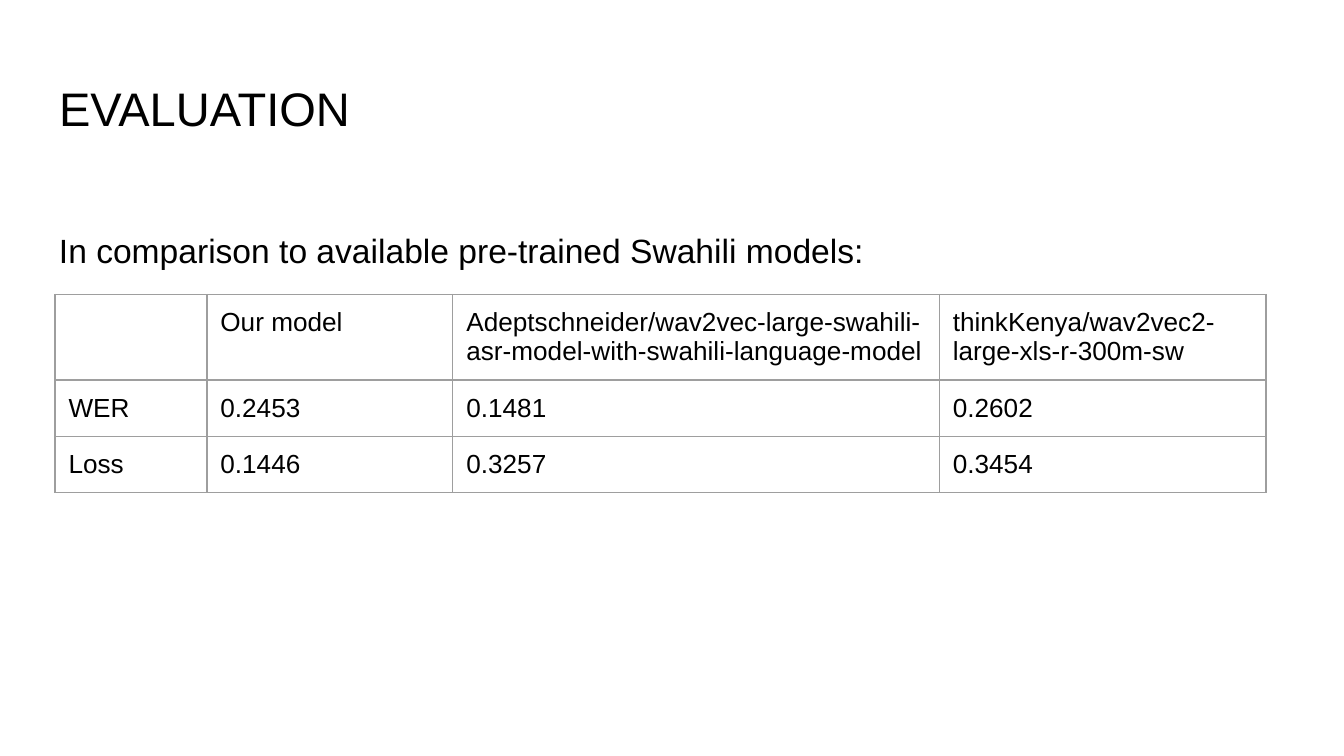
"""Build the evaluation slide with its model comparison table."""
from lxml.etree import SubElement
from pptx import Presentation
from pptx.dml.color import RGBColor
from pptx.enum.text import MSO_ANCHOR, PP_ALIGN
from pptx.oxml.ns import qn
from pptx.util import Inches, Pt

TITLE = "EVALUATION"
LEAD = "In comparison to available pre-trained Swahili models:"
ROWS = [
    ("", "Our model",
     "Adeptschneider/wav2vec-large-swahili-asr-model-with-swahili-language-model",
     "thinkKenya/wav2vec2-large-xls-r-300m-sw"),
    ("WER", "0.2453", "0.1481", "0.2602"),
    ("Loss", "0.1446", "0.3257", "0.3454"),
]
WIDE = Inches(10)
TALL = WIDE * 9 // 16
COLS = [1.13, 1.83, 3.62, 2.43]
HIGH = 0.42
PAD = Inches(0.1)
FONT = "Arial"
BLACK = RGBColor(0x00, 0x00, 0x00)
WHITE = RGBColor(0xFF, 0xFF, 0xFF)
GRAY = RGBColor(0x9E, 0x9E, 0x9E)


def write(frame, text, size):
    frame.text = text
    para = frame.paragraphs[0]
    para.alignment = PP_ALIGN.LEFT
    font = para.runs[0].font if para.runs else para.font
    font.name, font.size, font.color.rgb = FONT, Pt(size), BLACK


def fit(shape, box, text, size):
    shape.left, shape.top, shape.width, shape.height = map(Inches, box)
    frame = shape.text_frame
    frame.word_wrap = True
    frame.vertical_anchor = MSO_ANCHOR.TOP
    frame.margin_left = frame.margin_right = PAD
    frame.margin_top = frame.margin_bottom = PAD
    write(frame, text, size)


def edge(cell):
    props = cell._tc.get_or_add_tcPr()
    for side in ("lnL", "lnR", "lnT", "lnB"):
        line = SubElement(props, qn(f"a:{side}"), w=str(Pt(0.75)))
        fill = SubElement(line, qn("a:solidFill"))
        SubElement(fill, qn("a:srgbClr"), val=str(GRAY))


def grid(slide):
    wide, high = Inches(sum(COLS)), Inches(HIGH * len(ROWS))
    table = slide.shapes.add_table(len(ROWS), len(COLS), Inches(0.41),
                                   Inches(2.19), wide, high).table
    table.first_row = table.horz_banding = False
    for col, width in zip(table.columns, COLS):
        col.width = Inches(width)
    for row, texts in zip(table.rows, ROWS):
        row.height = Inches(HIGH)
        for cell, text in zip(row.cells, texts):
            cell.margin_left = cell.margin_right = PAD
            cell.margin_top = cell.margin_bottom = PAD
            edge(cell)
            cell.fill.background()
            write(cell.text_frame, text, 14)


def main():
    deck = Presentation()
    deck.slide_width, deck.slide_height = WIDE, TALL
    slide = deck.slides.add_slide(deck.slide_layouts[5])
    slide.background.fill.solid()
    slide.background.fill.fore_color.rgb = WHITE
    fit(slide.shapes.title, (0.34, 0.49, 9.32, 0.63), TITLE, 25.2)
    grid(slide)
    lead = slide.shapes.add_textbox(0, 0, 0, 0)
    fit(lead, (0.34, 1.61, 8.99, 0.49), LEAD, 18)
    deck.save("out.pptx")


if __name__ == "__main__":
    main()
